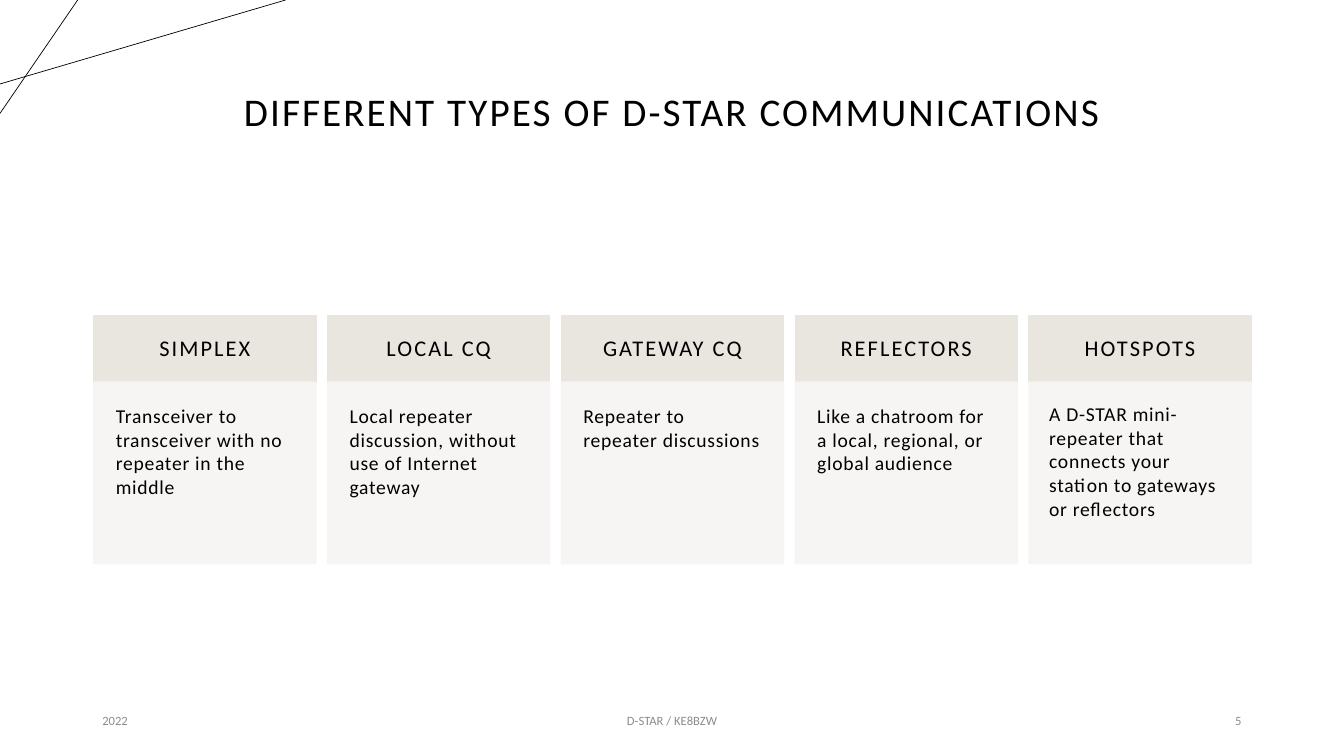
from lxml import etree
from pptx import Presentation
from pptx import util as u
from pptx.dml.color import RGBColor
from pptx.enum import shapes, text
from pptx.oxml import ns

COLOURS = {
    "ink": "000000",
    "footer": "8C8C8C",
    "header": "E9E6DF",
    "body": "F7F5F3",
}
LEFT, CENTER, RIGHT = text.PP_ALIGN.LEFT, text.PP_ALIGN.CENTER, text.PP_ALIGN.RIGHT
TOP, MIDDLE = text.MSO_ANCHOR.TOP, text.MSO_ANCHOR.MIDDLE


def colour(name):
    return RGBColor.from_string(COLOURS[name])


class SlideBuilder:
    font = "Calibri"

    def __init__(self, page):
        self.page = page

    def set_text(self, box, words, size, align=LEFT, anchor=MIDDLE, ink="ink",
                 inset=None, tracking=0, line_spacing=1.0):
        frame = box.text_frame
        frame.word_wrap = True
        frame.auto_size = text.MSO_AUTO_SIZE.NONE
        frame.vertical_anchor = anchor
        if inset is not None:
            frame.margin_left = frame.margin_right = u.Pt(inset)
            frame.margin_top = frame.margin_bottom = u.Pt(inset)
        frame.text = words
        para = frame.paragraphs[0]
        para.alignment = align
        para.line_spacing = line_spacing
        para.space_before = u.Pt(0)
        para.font.name = self.font
        para.font.size = u.Pt(size)
        para.font.color.rgb = colour(ink)
        if tracking:
            # Letter spacing is stored in hundredths of a point
            style = para._p.pPr.find(ns.qn("a:defRPr"))
            style.set("spc", str(int(tracking * 100)))

    def title(self, words, left, top, width, height):
        box = self.page.shapes.title
        box.left, box.top = u.Pt(left), u.Pt(top)
        box.width, box.height = u.Pt(width), u.Pt(height)
        self.set_text(box, words, 28, CENTER, tracking=1.5, line_spacing=0.9)

    def label(self, words, left, top, width, height, align):
        box = self.page.shapes.add_textbox(
            u.Pt(left), u.Pt(top), u.Pt(width), u.Pt(height))
        self.set_text(box, words, 9, align, ink="footer")

    def panel(self, left, top, width, height, fill, words, size, opacity=100, **style):
        box = self.page.shapes.add_shape(
            shapes.MSO_SHAPE.RECTANGLE, u.Pt(left), u.Pt(top), u.Pt(width), u.Pt(height))
        box.shadow.inherit = False
        box.fill.solid()
        box.fill.fore_color.rgb = colour(fill)
        box.line.color.rgb = colour(fill)
        box.line.width = u.Pt(1)
        if opacity < 100:
            for tint in box._element.spPr.iter(ns.qn("a:srgbClr")):
                etree.SubElement(tint, ns.qn("a:alpha")).set("val", str(opacity * 1000))
        self.set_text(box, words, size, **style)

    def line(self, x1, y1, x2, y2):
        stroke = self.page.shapes.add_connector(
            shapes.MSO_CONNECTOR.STRAIGHT, u.Pt(x1), u.Pt(y1), u.Pt(x2), u.Pt(y2))
        stroke.line.color.rgb = colour("ink")
        stroke.line.width = u.Pt(0.5)
        etree.SubElement(stroke._element.spPr, ns.qn("a:effectLst"))


def main():
    deck = Presentation()
    deck.slide_width, deck.slide_height = u.Pt(960), u.Pt(540)
    slide = SlideBuilder(deck.slides.add_slide(deck.slide_layouts[5]))

    # Corner lines
    slide.line(0, 60, 204, 0)
    slide.line(55.5, 0, 0, 81)

    slide.title("DIFFERENT TYPES OF D-STAR COMMUNICATIONS", 66, 28.8, 828, 104.4)

    # Communication types: heading, description, description inset
    types = [
        ("SIMPLEX", "Transceiver to transceiver with no repeater in the middle", 15.7),
        ("LOCAL CQ", "Local repeater discussion, without use of Internet gateway", 15.7),
        ("GATEWAY CQ", "Repeater to repeater discussions", 15.7),
        ("REFLECTORS", "Like a chatroom for a local, regional, or global audience", 15.7),
        ("HOTSPOTS", "A D-STAR mini-repeater that connects your station "
                     "to gateways or reflectors", 14.4),
    ]
    first_left, pitch, width = 67, 167, 158.7
    top, header_height, body_height = 225.5, 47.5, 129.6
    for column, (heading, description, inset) in enumerate(types):
        left = first_left + column * pitch
        slide.panel(left, top, width, header_height, "header", heading, 16,
                    align=CENTER, inset=12.5, tracking=1.5, line_spacing=0.9)
        slide.panel(left, top + header_height, width, body_height, "body", description, 14,
                    opacity=90, anchor=TOP, inset=inset, tracking=0.5)

    # Footer
    slide.label("2022", 66, 500.5, 216, 28.8, LEFT)
    slide.label("D-STAR / KE8BZW", 318, 500.5, 324, 28.8, CENTER)
    slide.label("5", 678, 500.5, 216, 28.8, RIGHT)

    deck.save("out.pptx")


if __name__ == "__main__":
    main()
